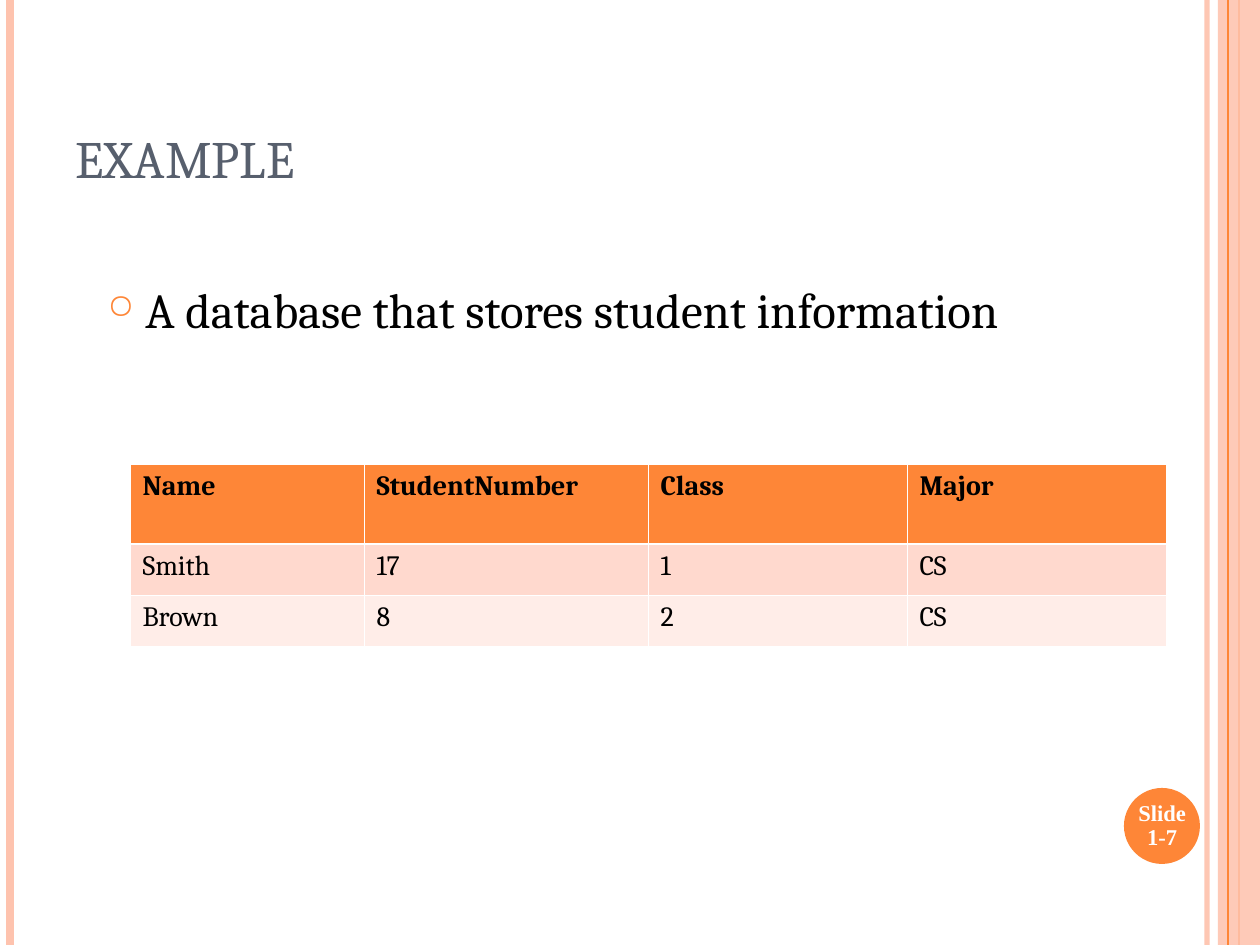
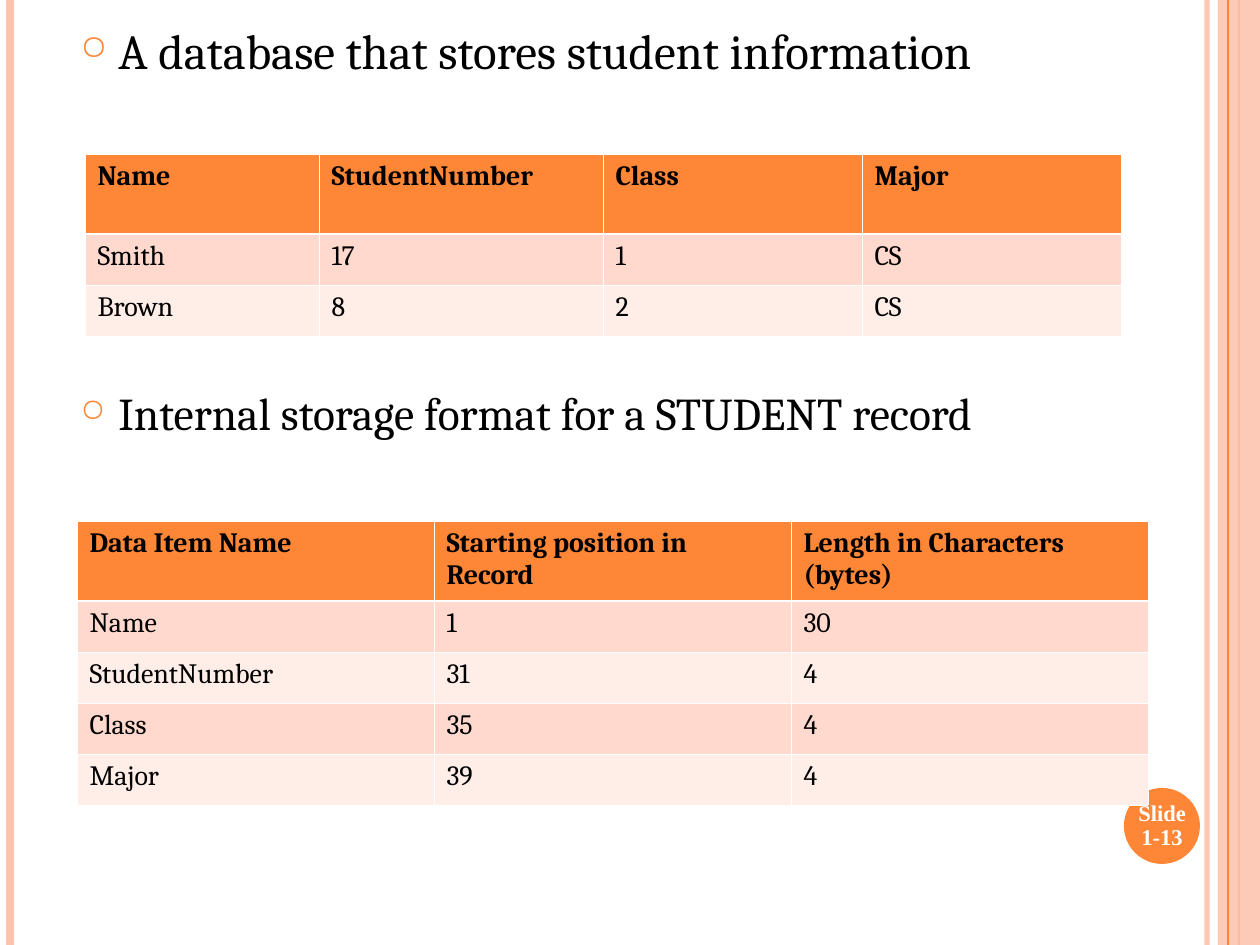
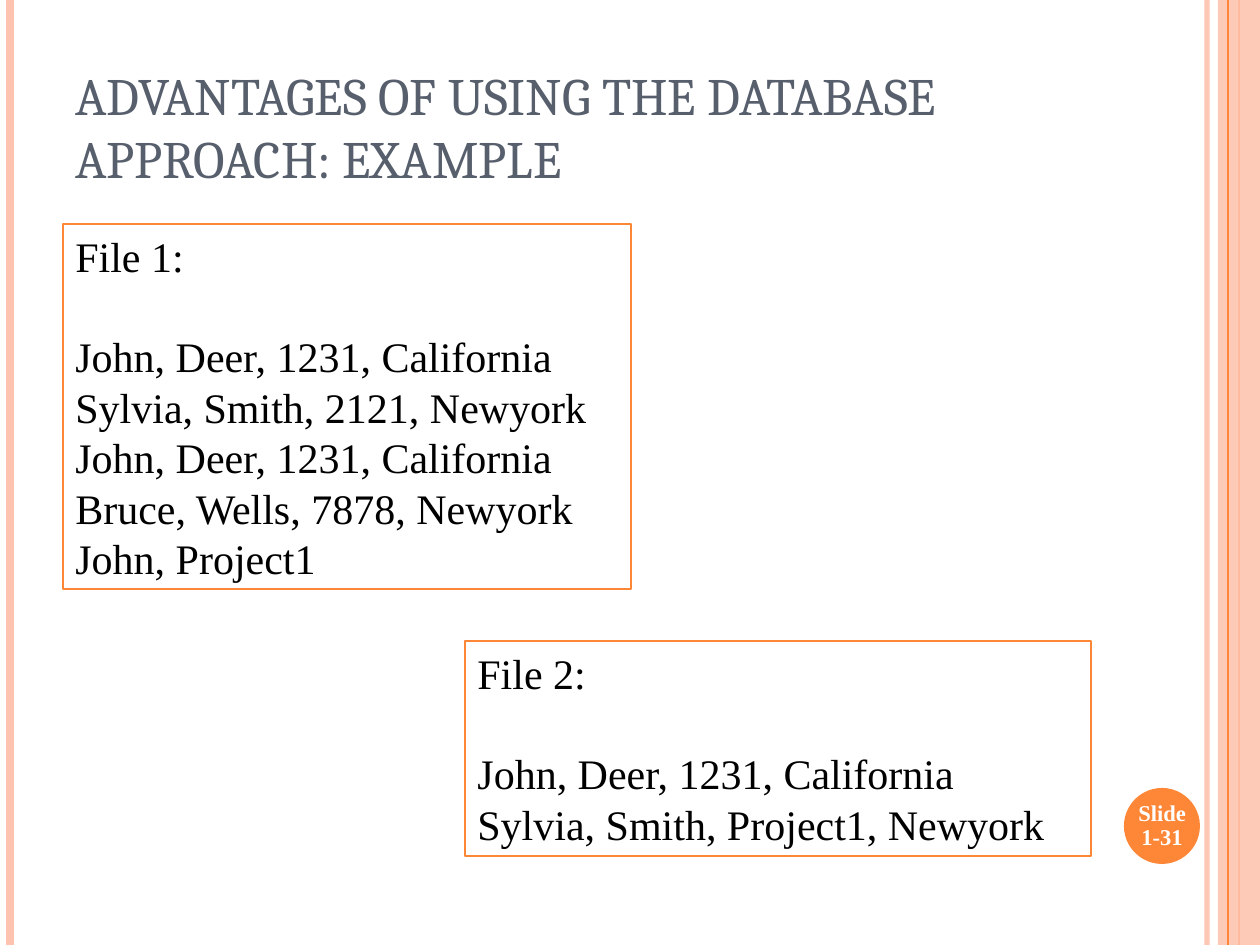
from lxml import etree
from pptx import Presentation
from pptx import util as u
from pptx.dml.color import RGBColor
from pptx.enum import shapes, text
from pptx.oxml import ns

ORANGE = RGBColor(0xFE, 0x86, 0x37)
PEACH = RGBColor(0xFE, 0xC3, 0xAE)
ROSE = RGBColor(0xFF, 0xD9, 0xCE)
CREAM = RGBColor(0xFF, 0xED, 0xE8)
SLATE = RGBColor(0x57, 0x5F, 0x6D)
BLACK = RGBColor(0, 0, 0)
WHITE = RGBColor(0xFF, 0xFF, 0xFF)
SERIF, ROMAN = "Cambria", "Times New Roman"

WIDE, HIGH = 1260, 945
SCALE = u.Inches(1) / 126
HEAD, ROW = 80, 51
THIN, THICK = 0.45, 1.47
LINE = 28.8  # points in one line of file text

STORES = "A database that stores student information"
PEOPLE = [
    ("Name", "StudentNumber", "Class", "Major"),
    ("Smith", "17", "1", "CS"),
    ("Brown", "8", "2", "CS"),
]
RECORD = [
    ("Data Item Name", "Starting position in Record", "Length in Characters (bytes)"),
    ("Name", "1", "30"),
    ("StudentNumber", "31", "4"),
    ("Class", "35", "4"),
    ("Major", "39", "4"),
]
PEOPLE_COLS = (234, 284, 259, 259)
RECORD_COLS = (357,) * 3

# Bullets: text, size, box.  Tables: rows, columns, left, top.  Files: lines, box.
SLIDES = [
    dict(page="Slide 1-7", title="EXAMPLE",
         bullets=[(STORES, 28, (95, 273, 1071, 131))],
         tables=[(PEOPLE, PEOPLE_COLS, 130, 464)]),
    dict(page="Slide 1-13",
         bullets=[(STORES, 28, (68, 14, 1071, 131)),
                  ("Internal storage format for a STUDENT record", 26,
                   (68, 379, 1071, 86))],
         tables=[(RECORD, RECORD_COLS, 77, 521), (PEOPLE, PEOPLE_COLS, 85, 154)]),
    dict(page="Slide 1-31",
         title="ADVANTAGES OF USING THE DATABASE APPROACH: EXAMPLE",
         files=[(("File 1:", "John, Deer, 1231, California",
                  "Sylvia, Smith, 2121, Newyork", "John, Deer, 1231, California",
                  "Bruce, Wells, 7878, Newyork", "John, Project1"),
                 (63, 224, 568, 365)),
                (("File 2:", "John, Deer, 1231, California",
                  "Sylvia, Smith, Project1, Newyork"),
                 (465, 641, 626, 215))]),
]


def px(*sizes):
    return [u.Emu(round(size * SCALE)) for size in sizes]


def sub(parent, tag, **attrs):
    return etree.SubElement(parent, ns.qn(tag), attrs)


def fade(part, alpha):
    """Make the solid colour found in part see-through."""
    color = next(part.iter(ns.qn("a:srgbClr")))
    sub(color, "a:alpha", val=str(alpha * 1000))


def style(para, size, color, face=SERIF, bold=False):
    font = para.font
    font.size, font.name, font.bold = u.Pt(size), face, bold
    font.color.rgb = color


def add_rule(slide, x, width, color, alpha=100):
    rule = slide.shapes.add_connector(shapes.MSO_CONNECTOR.STRAIGHT, *px(x, 0, x, HIGH))
    rule.line.width = u.Pt(width)
    rule.line.color.rgb = color
    props = rule._element.spPr
    if alpha < 100:
        fade(props, alpha)
    sub(props, "a:effectLst")


def add_solid(slide, kind, box, color):
    solid = slide.shapes.add_shape(kind, *px(*box))
    solid.shadow.inherit = False
    solid.fill.solid()
    solid.fill.fore_color.rgb = color
    solid.line.fill.background()
    return solid


def add_text(slide, box, words, anchor=text.MSO_ANCHOR.TOP):
    shape = slide.shapes.add_textbox(*px(*box))
    frame = shape.text_frame
    frame.word_wrap = True
    frame.vertical_anchor = anchor
    frame.text = words
    return shape, frame.paragraphs


def add_frame(slide, page):
    """Draw the side bands and the page badge."""
    add_rule(slide, 1207, 3, PEACH, 93)
    add_rule(slide, 10, 4.5, PEACH)
    add_rule(slide, 1239, 1.5, ORANGE)
    band = add_solid(slide, shapes.MSO_SHAPE.RECTANGLE, (1218, 0, 42, HIGH), PEACH)
    fade(band._element.spPr, 87)
    add_rule(slide, 1228, 0.75, ORANGE)
    add_solid(slide, shapes.MSO_SHAPE.OVAL, (1124, 788, 76, 76), ORANGE)
    _, (para,) = add_text(slide, (1120, 790, 84, 72), page, text.MSO_ANCHOR.MIDDLE)
    para.alignment = text.PP_ALIGN.CENTER
    para.line_spacing = 0.9
    style(para, 12.9, WHITE, ROMAN, True)


def add_title(slide, words):
    _, (para,) = add_text(slide, (63, 38, 1029, 157), words, text.MSO_ANCHOR.BOTTOM)
    style(para, 30, SLATE)


def add_bullet(slide, words, size, box):
    _, (para,) = add_text(slide, box, words)
    props = para._p.get_or_add_pPr()
    indent = px(38)[0]
    props.set("marL", str(indent))
    props.set("indent", str(-indent))
    sub(sub(props, "a:buClr"), "a:srgbClr", val=str(ORANGE))
    sub(props, "a:buSzPct", val="70000")
    sub(props, "a:buChar", char="○")
    style(para, size, BLACK)


def add_edges(cell, top, bottom):
    props = cell._tc.get_or_add_tcPr()
    for side, width in zip("LRTB", (THIN, THIN, top, bottom)):
        edge = sub(props, "a:ln" + side, w=str(u.Pt(width)))
        sub(sub(edge, "a:solidFill"), "a:srgbClr", val=str(WHITE))


def add_grid(slide, rows, cols, left, top):
    box = px(left, top, sum(cols), HEAD + ROW * (len(rows) - 1))
    table = slide.shapes.add_table(len(rows), len(cols), *box).table
    for col, width in zip(table.columns, px(*cols)):
        col.width = width
    for r, row in enumerate(rows):
        table.rows[r].height = px(ROW if r else HEAD)[0]
        color = (CREAM, ROSE)[r % 2] if r else ORANGE
        for c, words in enumerate(row):
            cell = table.cell(r, c)
            add_edges(cell, THICK if r == 1 else THIN, THIN if r else THICK)
            cell.fill.solid()
            cell.fill.fore_color.rgb = color
            cell.text = words
            style(cell.text_frame.paragraphs[0], 16, BLACK, bold=r == 0)


def add_file(slide, lines, box):
    shape, paras = add_text(slide, box, "\n".join(lines))
    shape.line.color.rgb = ORANGE
    shape.line.width = u.Pt(0.75)
    for para in paras:
        style(para, 24, BLACK, ROMAN)
    paras[1].space_before = u.Pt(LINE)


def main():
    deck = Presentation()
    deck.slide_width, deck.slide_height = px(WIDE, HIGH)
    for data in SLIDES:
        slide = deck.slides.add_slide(deck.slide_layouts[6])
        add_frame(slide, data["page"])
        if "title" in data:
            add_title(slide, data["title"])
        for key, draw in (("bullets", add_bullet), ("tables", add_grid),
                          ("files", add_file)):
            for item in data.get(key, ()):
                draw(slide, *item)
    deck.save("out.pptx")


if __name__ == "__main__":
    main()
